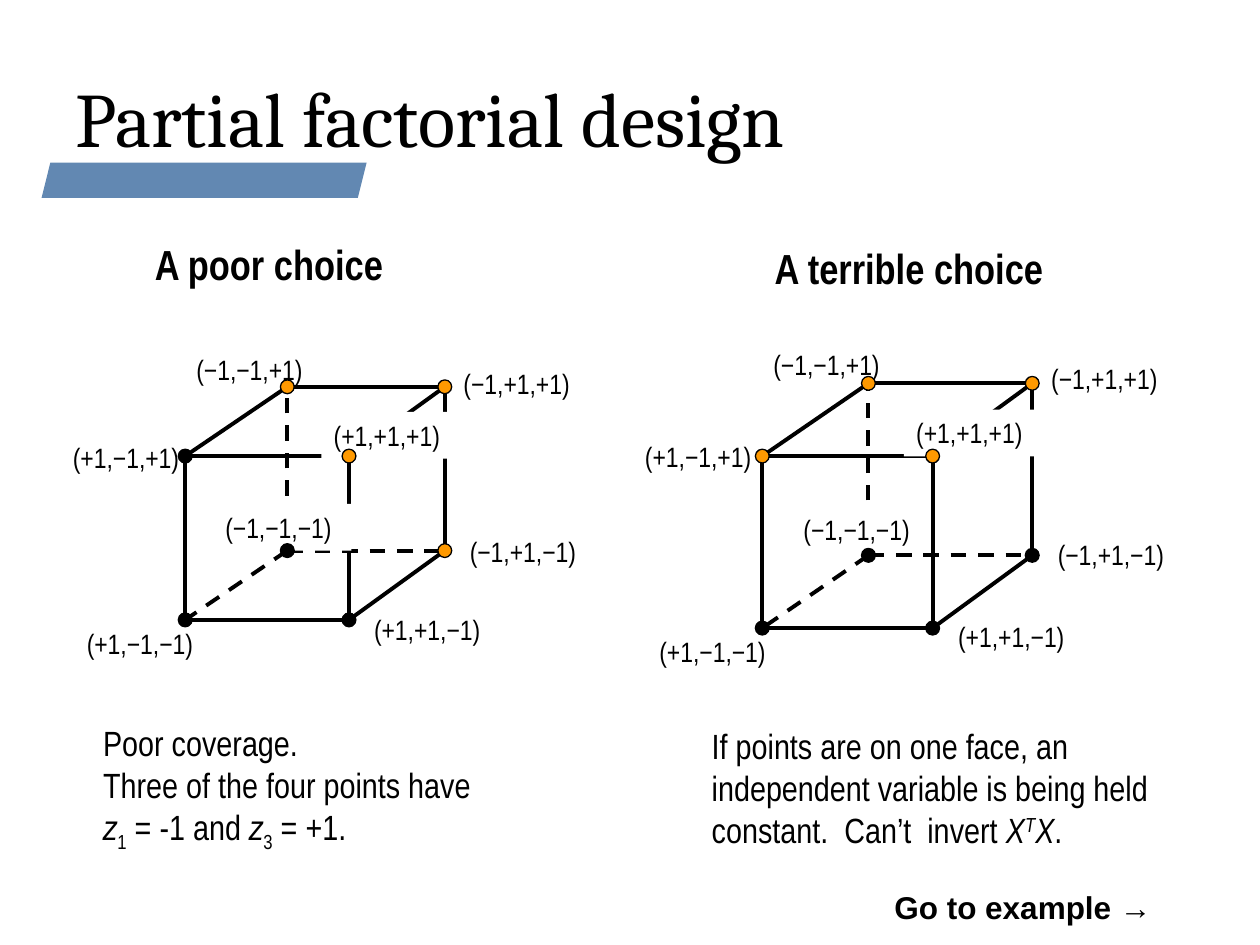
from dataclasses import dataclass
from itertools import combinations, product

from lxml.etree import SubElement
from pptx import Presentation
from pptx.dml.color import RGBColor
from pptx.enum.dml import MSO_LINE
from pptx.enum.shapes import MSO_CONNECTOR, MSO_SHAPE
from pptx.enum.text import MSO_ANCHOR, MSO_AUTO_SIZE, PP_ALIGN
from pptx.oxml.ns import qn
from pptx.util import Inches, Pt

SLIDE_WIDTH, SLIDE_HEIGHT = Inches(10), Inches(7.5)
COLUMNS = 100  # square grid: the slide is 100 columns by 75 rows
BLACK, WHITE, ORANGE, BLUE = "000000", "FFFFFF", "FF9900", "6288B2"
NARROW = "Arial Narrow"
BASELINES = {"normal": None, "sub": "-25000", "super": "30000"}
DOT_SIZE = 1.1

Signs = tuple[int, int, int]
VERTICES: list[Signs] = list(product((-1, 1), repeat=3))
HIDDEN: Signs = (-1, -1, -1)
# Label box relative to its vertex, in columns and rows of an unscaled cube
LABEL_OFFSETS: dict[Signs, tuple[float, float]] = {
    (-1, 1, 1): (0.5, -2.1),
    (-1, -1, 1): (-8.2, -3.2),
    (-1, 1, -1): (1, -1.8),
    (1, 1, -1): (1, -1.1),
    (1, -1, -1): (-8.8, 0),
    (1, 1, 1): (-2.2, -3.5),
    (1, -1, 1): (-9.9, -1.7),
    HIDDEN: (-5.9, -3.7),
}
MASKED_LABEL_WIDTHS: dict[Signs, float] = {(1, 1, 1): 10.5, HIDDEN: 11}


@dataclass(frozen=True)
class Box:
    left: float
    top: float
    width: float
    height: float


@dataclass(frozen=True)
class Cube:
    left: float
    top: float
    scale_x: float
    scale_y: float
    chosen: frozenset[Signs]

    def vertex(self, signs: Signs) -> tuple[float, float]:
        front, right, up = (sign > 0 for sign in signs)
        x = (13 if right else 0) if front else (20.6 if right else 8.1)
        y = (0 if up else 13) - (0 if front else 5.5)
        return self.left + x * self.scale_x, self.top + y * self.scale_y


@dataclass(frozen=True)
class Piece:
    text: str
    italic: bool = False
    level: str = "normal"


@dataclass(frozen=True)
class Panel:
    heading: str
    heading_box: Box
    cube: Cube
    caption: list[list[Piece]]
    caption_box: Box


PANELS = [
    Panel(
        "A poor choice", Box(11.3, 17, 22.5, 7.8),
        Cube(14.7, 36.2, 1, 1, frozenset({(-1, -1, 1), (-1, 1, 1), (-1, 1, -1), (1, 1, 1)})),
        [
            [Piece("Poor coverage.")],
            [Piece("Three of the four points have")],
            [Piece("z", True), Piece("1", level="sub"), Piece(" = -1 and "),
             Piece("z", True), Piece("3", level="sub"), Piece(" = +1.")],
        ],
        Box(7.2, 56.8, 38.3, 11.1),
    ),
    Panel(
        "A terrible choice", Box(60.5, 17.9, 27.5, 6.7),
        Cube(60.5, 36.2, 1.04, 1.05, frozenset(signs for signs in VERTICES if signs[2] > 0)),
        [
            [Piece("If points are on one face, an independent variable is being held "
                   "constant.  Can’t  invert "),
             Piece("X", True), Piece("T", True, "super"), Piece("X", True), Piece(".")],
        ],
        Box(55.5, 57, 37.5, 11.1),
    ),
]


def grid(cells: float) -> int:
    return round(SLIDE_WIDTH * cells / COLUMNS)


def place(box: Box) -> tuple[int, ...]:
    return tuple(grid(cells) for cells in (box.left, box.top, box.width, box.height))


def color(hex_code: str) -> RGBColor:
    return RGBColor.from_string(hex_code)


def format_font(font, name: str, size: float, bold: bool = False) -> None:
    font.name, font.size, font.bold = name, Pt(size), bold
    font.color.rgb = color(BLACK)


def add_text(shapes, box: Box, paragraphs: list[list[Piece]], size: float,
             name: str = NARROW, bold: bool = False, wrap: bool = True):
    text_box = shapes.add_textbox(*place(box))
    frame = text_box.text_frame
    frame.word_wrap = wrap
    for index, pieces in enumerate(paragraphs):
        paragraph = frame.add_paragraph() if index else frame.paragraphs[0]
        for piece in pieces:
            run = paragraph.add_run()
            run.text = piece.text
            format_font(run.font, name, size, bold)
            run.font.italic = piece.italic
            if BASELINES[piece.level]:
                run._r.get_or_add_rPr().set("baseline", BASELINES[piece.level])
    return text_box


def add_preset(shapes, kind: MSO_SHAPE, box: Box, fill: str | None,
               line_width: float = 0) -> None:
    shape = shapes.add_shape(kind, *place(box))
    shape.shadow.inherit = False
    if fill:
        shape.fill.solid()
        shape.fill.fore_color.rgb = color(fill)
    else:
        shape.fill.background()
    if line_width:
        shape.line.color.rgb = color(BLACK)
        shape.line.width = Pt(line_width)
    else:
        shape.line.fill.background()


def add_edge(shapes, start: tuple[float, float], end: tuple[float, float], dashed: bool) -> None:
    points = (grid(cells) for cells in (*start, *end))
    edge = shapes.add_connector(MSO_CONNECTOR.STRAIGHT, *points)
    edge.line.color.rgb = color(BLACK)
    edge.line.width = Pt(2.25)
    if dashed:
        edge.line.dash_style = MSO_LINE.DASH
    SubElement(edge._element.spPr, qn("a:effectLst"))


def add_label(shapes, cube: Cube, signs: Signs) -> None:
    x, y = cube.vertex(signs)
    offset_x, offset_y = LABEL_OFFSETS[signs]
    box = Box(x + offset_x * cube.scale_x, y + offset_y * cube.scale_y,
              MASKED_LABEL_WIDTHS.get(signs, 10.8), 3.7)
    text = ",".join("+1" if sign > 0 else "−1" for sign in signs)
    label = add_text(shapes, box, [[Piece(f"({text})")]], 16, wrap=False)
    label.text_frame.auto_size = MSO_AUTO_SIZE.SHAPE_TO_FIT_TEXT
    if signs in MASKED_LABEL_WIDTHS:
        label.fill.solid()
        label.fill.fore_color.rgb = color(WHITE)


def add_cube(slide, cube: Cube) -> None:
    shapes = slide.shapes.add_group_shape().shapes
    for start, end in combinations(VERTICES, 2):
        differences = sum(a != b for a, b in zip(start, end))
        on_front = start[0] > 0 and end[0] > 0
        if differences == 1 and not on_front:
            add_edge(shapes, cube.vertex(start), cube.vertex(end), HIDDEN in (start, end))
    front = Box(cube.left, cube.top, 13 * cube.scale_x, 13 * cube.scale_y)
    add_preset(shapes, MSO_SHAPE.RECTANGLE, front, None, 2.25)
    for signs in LABEL_OFFSETS:
        add_label(shapes, cube, signs)
    for signs in VERTICES:
        x, y = cube.vertex(signs)
        dot = Box(x - DOT_SIZE / 2, y - DOT_SIZE / 2, DOT_SIZE, DOT_SIZE)
        add_preset(shapes, MSO_SHAPE.OVAL, dot, ORANGE if signs in cube.chosen else BLACK, 0.75)


def add_title(slide, text: str) -> None:
    title = slide.shapes.title
    title.left, title.top, title.width, title.height = place(Box(5, 3, 90, 12.5))
    title.text_frame.text = text
    title.text_frame.vertical_anchor = MSO_ANCHOR.MIDDLE
    paragraph = title.text_frame.paragraphs[0]
    paragraph.alignment = PP_ALIGN.LEFT
    format_font(paragraph.runs[0].font, "Cambria", 44)


def main() -> None:
    presentation = Presentation()
    presentation.slide_width, presentation.slide_height = SLIDE_WIDTH, SLIDE_HEIGHT
    slide = presentation.slides.add_slide(presentation.slide_layouts[5])
    add_preset(slide.shapes, MSO_SHAPE.PARALLELOGRAM, Box(3.3, 12.9, 25.8, 2.8), BLUE)
    add_title(slide, "Partial factorial design")
    for panel in PANELS:
        heading = add_text(slide.shapes, panel.heading_box, [[Piece(panel.heading)]], 24, bold=True)
        heading.text_frame.vertical_anchor = MSO_ANCHOR.MIDDLE
        add_cube(slide, panel.cube)
        add_text(slide.shapes, panel.caption_box, panel.caption, 20)
    add_text(slide.shapes, Box(70, 70, 32.2, 4), [[Piece("Go to example →")]], 18, "Arial", True)
    presentation.save("out.pptx")


if __name__ == "__main__":
    main()
